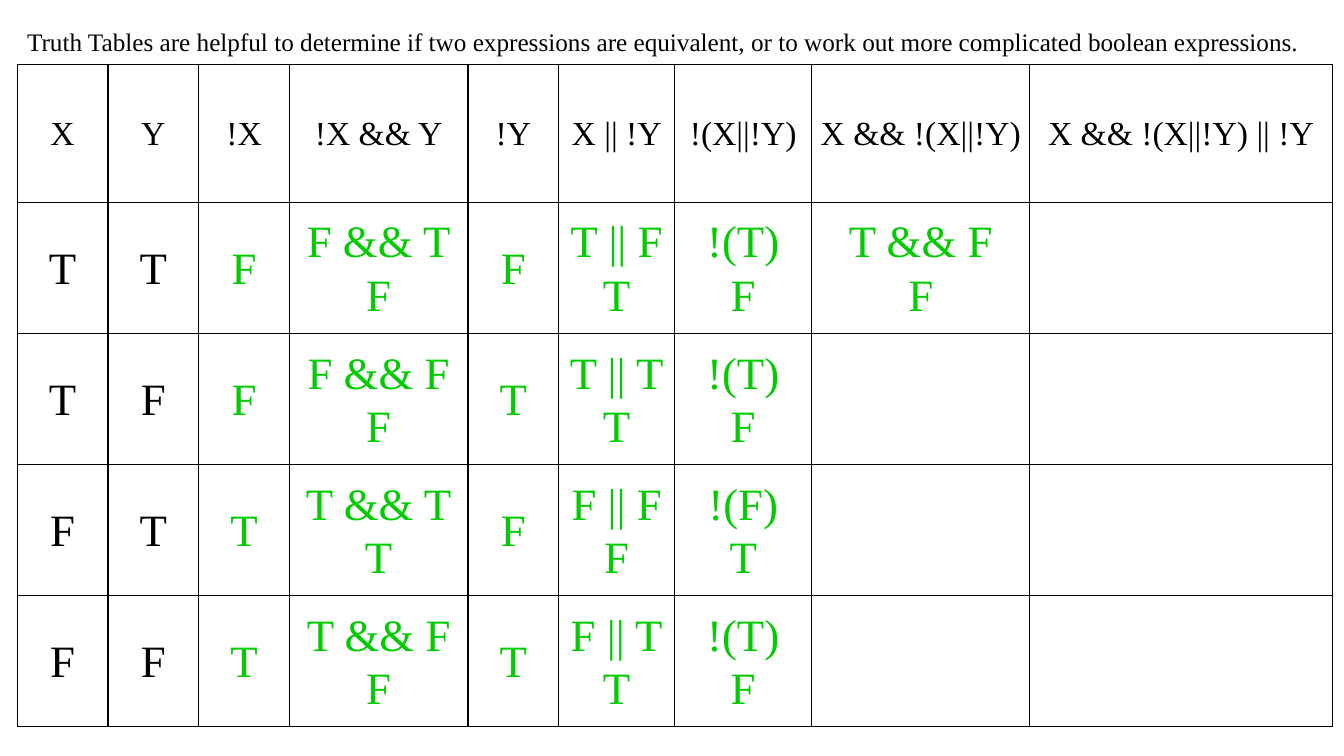
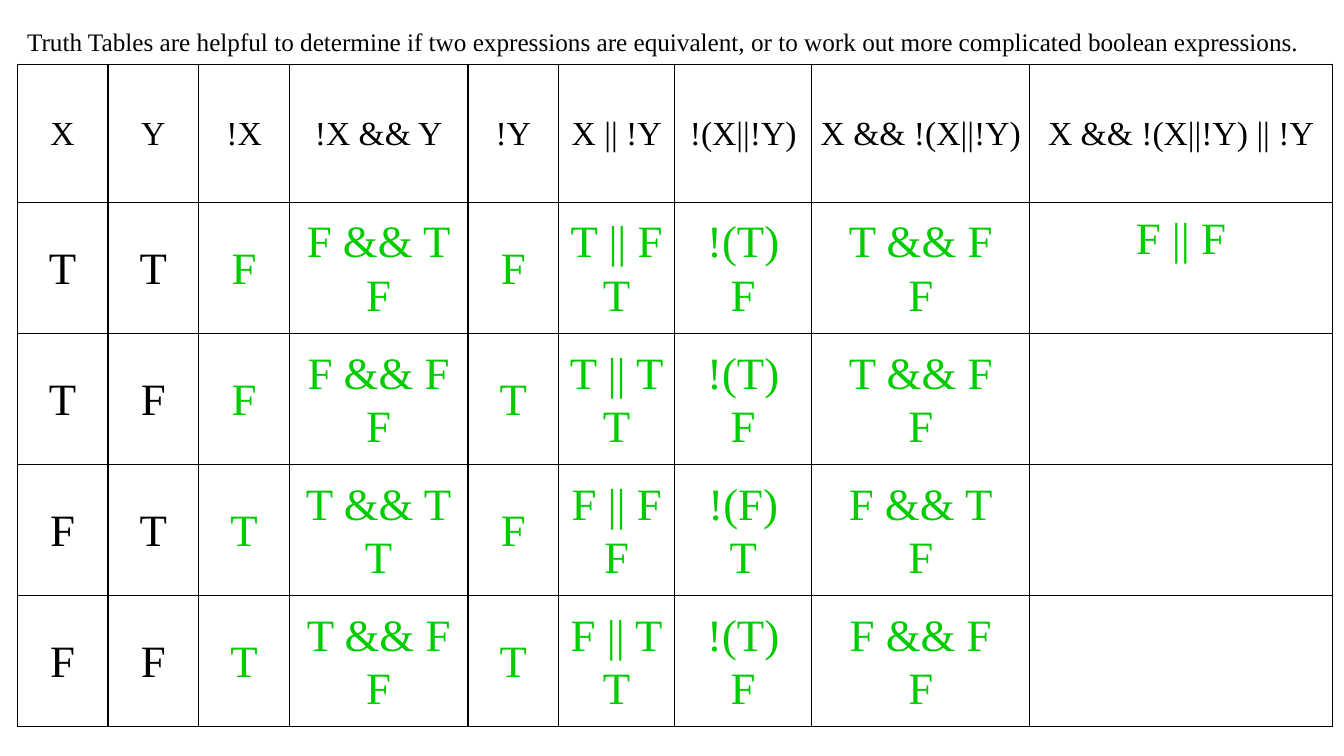
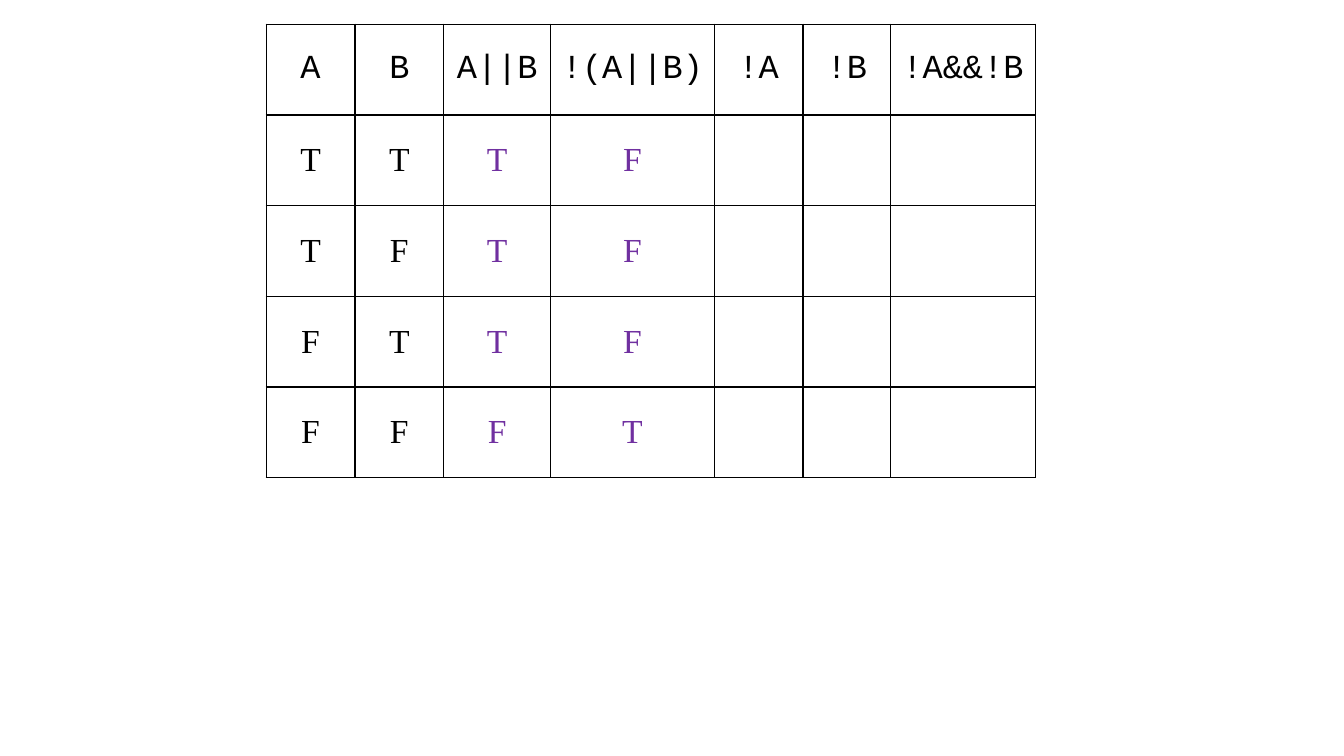
from lxml.etree import SubElement
from pptx import Presentation
from pptx.dml.color import RGBColor
from pptx.enum.text import MSO_ANCHOR, PP_ALIGN
from pptx.oxml.ns import qn
from pptx.util import Inches, Pt

# Shared look
SLIDE_W, SLIDE_H = Inches(13.33), Inches(7.5)
COLORS = {"ink": "000000", "answer": "00CC00", "law": "7030A0"}
SERIF, MONO = "Times New Roman", "Courier New"
LOOSE = 1.07
CELL_MARGIN = Inches(0.07)
HEADER_WEIGHT = 1.05  # header height of the large table, in body rows

# Boxes as percentages of the slide: left, top, width, height
INTRO_BOX = (1.28, 2.53, 97.5, 5.47)
EXPRESSION_BOX = (1.28, 8.53, 97.86, 87.6)
DE_MORGAN_BOX = (19.8, 3.2, 57.23, 60)

INTRO = ("Truth Tables are helpful to determine if two expressions are equivalent, "
         "or to work out more complicated boolean expressions.")

# Truth tables; the first two columns are the given inputs
EXPRESSION_WIDTHS = [0.9, 0.9, 0.9, 1.77, 0.9, 1.15, 1.36, 2.16, 3]
EXPRESSION_HEADS = ["X", "Y", "!X", "!X && Y", "!Y", "X || !Y", "!(X||!Y)",
                    "X && !(X||!Y)", "X && !(X||!Y) || !Y"]
EXPRESSION_ROWS = [
    ["T", "T", "F", "F && T\nF", "F", "T || F\nT", "!(T)\nF", "T && F\nF", "F || F"],
    ["T", "F", "F", "F && F\nF", "T", "T || T\nT", "!(T)\nF", "T && F\nF"],
    ["F", "T", "T", "T && T\nT", "F", "F || F\nF", "!(F)\nT", "F && T\nF"],
    ["F", "F", "T", "T && F\nF", "T", "F || T\nT", "!(T)\nF", "F && F\nF"],
]
DE_MORGAN_WIDTHS = [0.88, 0.88, 1.06, 1.62, 0.88, 0.87, 1.43]
DE_MORGAN_HEADS = ["A", "B", "A||B", "!(A||B)", "!A", "!B", "!A&&!B"]
DE_MORGAN_ROWS = [list("TTTF"), list("TFTF"), list("FTTF"), list("FFFT")]


def place(box):
    """Turn percentages of the slide into lengths."""
    return [int(side * share / 100)
            for side, share in zip((SLIDE_W, SLIDE_H) * 2, box)]


def split(total, weights):
    return [int(total * weight / sum(weights)) for weight in weights]


def write(frame, text, size=24, font=SERIF, color="ink", align=None, spacing=None):
    """Fill a text frame, one paragraph for each line of text."""
    frame.text = text
    for paragraph in frame.paragraphs:
        paragraph.alignment = align
        paragraph.line_spacing = spacing
        paragraph.font.size = Pt(size)
        paragraph.font.name = font
        paragraph.font.color.rgb = RGBColor.from_string(COLORS[color])


def outline(cell):
    """Draw a thin line on all four sides of a cell."""
    properties = cell._tc.get_or_add_tcPr()
    for index, side in enumerate(("lnL", "lnR", "lnT", "lnB")):
        line = SubElement(properties, qn(f"a:{side}"), w=str(Pt(1)))
        SubElement(SubElement(line, qn("a:solidFill")), qn("a:srgbClr"),
                   val=COLORS["ink"])
        properties.insert(index, line)


def add_intro(slide):
    frame = slide.shapes.add_textbox(*place(INTRO_BOX)).text_frame
    frame.word_wrap = True
    write(frame, INTRO, size=18, spacing=LOOSE)


def add_truth_table(slide, box, widths, heads, rows, head_font=SERIF, head_weight=1,
                    body_size=24, answer_color="answer", spacing=None):
    left, top, width, height = place(box)
    table = slide.shapes.add_table(len(rows) + 1, len(heads),
                                   left, top, width, height).table
    table.first_row = table.horz_banding = False
    for column, length in zip(table.columns, split(width, widths)):
        column.width = length
    for row, length in zip(table.rows, split(height, [head_weight] + [1] * len(rows))):
        row.height = length

    for cell in table.iter_cells():
        cell.margin_left = cell.margin_right = CELL_MARGIN
        cell.margin_top = cell.margin_bottom = 0
        cell.vertical_anchor = MSO_ANCHOR.MIDDLE
        cell.fill.background()
        outline(cell)

    for r, texts in enumerate([heads] + rows):
        for c, text in enumerate(texts):
            is_head = r == 0
            write(table.cell(r, c).text_frame, text,
                  size=24 if is_head else body_size,
                  font=head_font if is_head else SERIF,
                  color="ink" if is_head or c < 2 else answer_color,
                  align=PP_ALIGN.CENTER, spacing=spacing)
    return table


def add_expression_slide(slide, shown):
    """Show the first few entries of each row, as counted in shown."""
    add_intro(slide)
    rows = [row[:count] for row, count in zip(EXPRESSION_ROWS, shown)]
    return add_truth_table(slide, EXPRESSION_BOX, EXPRESSION_WIDTHS, EXPRESSION_HEADS,
                           rows, head_weight=HEADER_WEIGHT, body_size=32,
                           spacing=LOOSE)


def main():
    deck = Presentation()
    deck.slide_width, deck.slide_height = SLIDE_W, SLIDE_H
    first, second, third = [deck.slides.add_slide(deck.slide_layouts[6])
                            for _ in range(3)]

    # Working out the expression step by step
    add_expression_slide(first, shown=[8, 7, 7, 7])
    steps = add_expression_slide(second, shown=[9, 8, 8, 8])

    # The unfinished last step leaves room for its result below
    last_step = steps.cell(1, len(EXPRESSION_HEADS) - 1)
    last_step.vertical_anchor = MSO_ANCHOR.TOP
    last_step.margin_top = Inches(0.09)

    # De Morgan's law
    add_truth_table(third, DE_MORGAN_BOX, DE_MORGAN_WIDTHS, DE_MORGAN_HEADS,
                    DE_MORGAN_ROWS, head_font=MONO, answer_color="law")

    deck.save("out.pptx")


if __name__ == "__main__":
    main()
